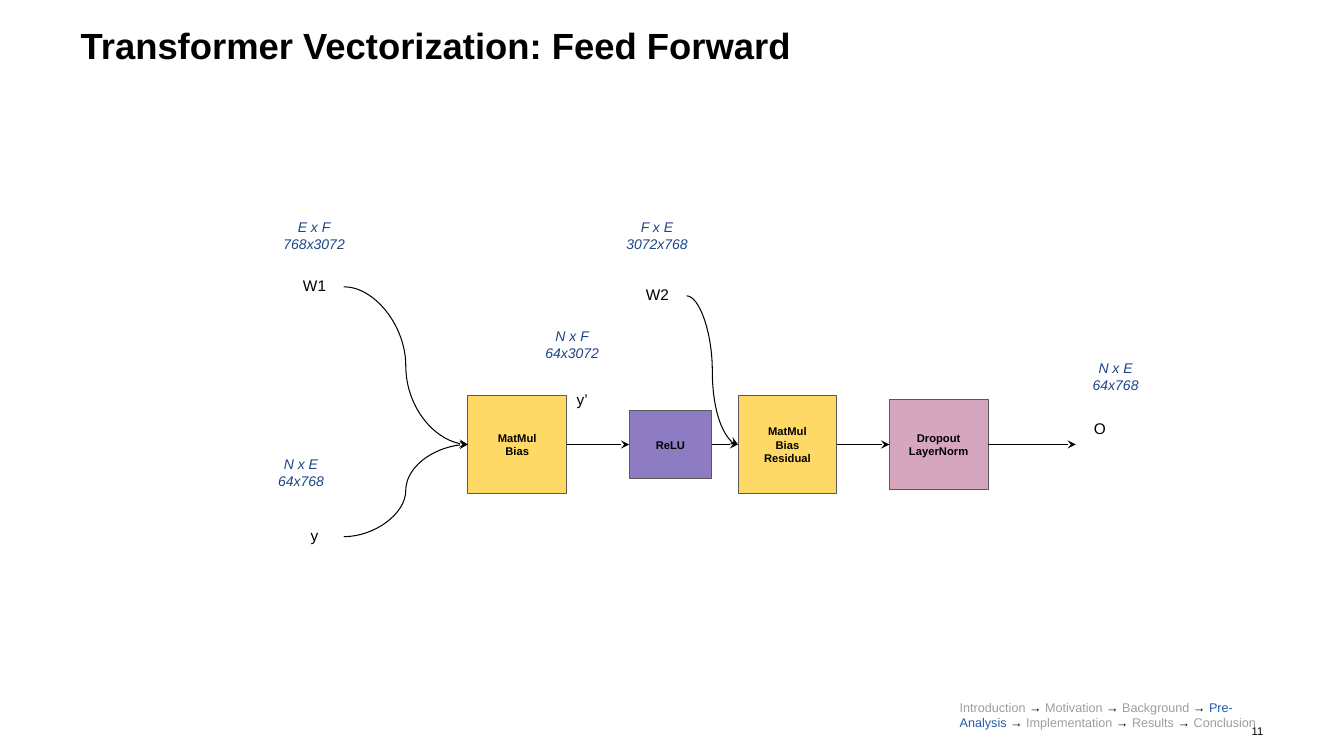
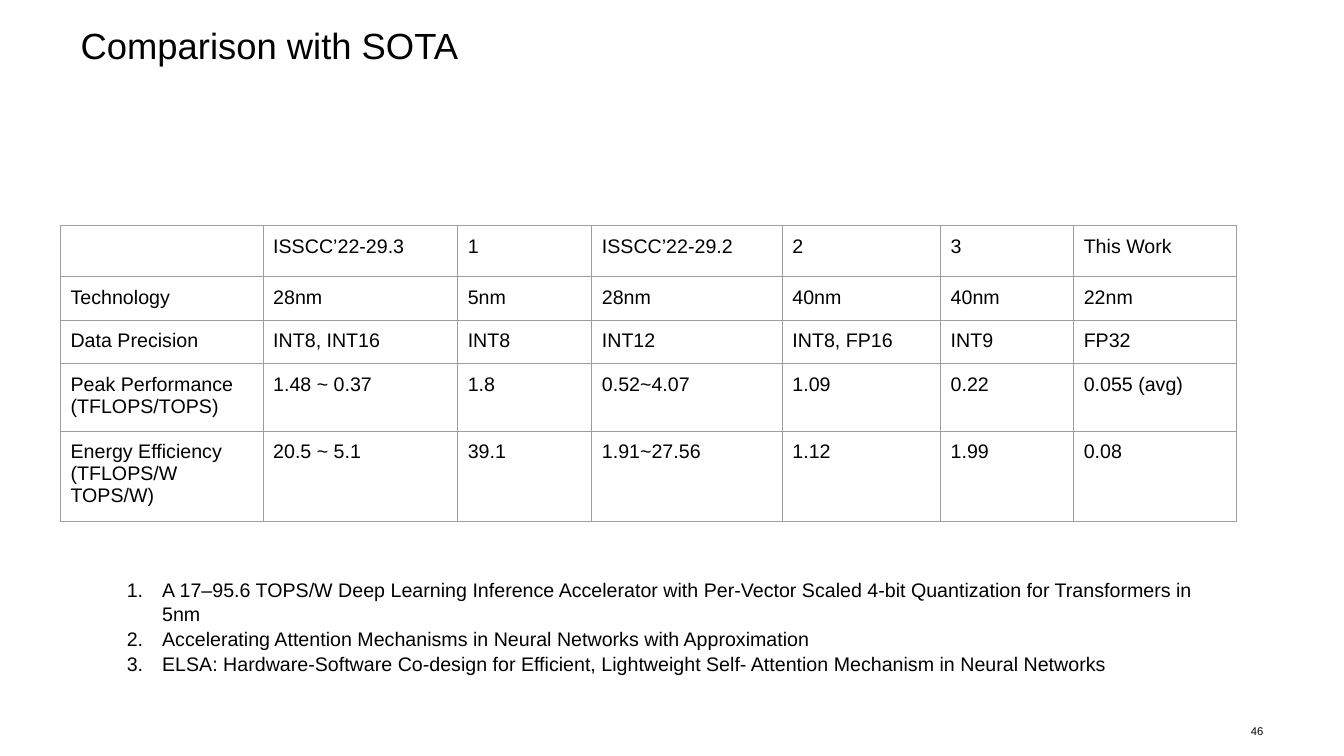
from dataclasses import dataclass

from lxml.etree import SubElement
from pptx import Presentation
from pptx.dml.color import RGBColor
from pptx.enum.shapes import MSO_CONNECTOR, MSO_SHAPE
from pptx.enum.text import MSO_ANCHOR, PP_ALIGN
from pptx.oxml.ns import qn
from pptx.util import Pt

EMU_PER_PX = 9144
LEFT_SITE, RIGHT_SITE = 1, 3


@dataclass(frozen=True)
class Theme:
    font: str = "Arial"
    black: str = "000000"
    gray: str = "9E9E9E"
    outline: str = "595959"
    dimension: str = "1C4587"
    active: str = "215CAF"
    yellow: str = "FFD966"
    purple: str = "8E7CC3"
    pink: str = "D5A6BD"
    title_size: int = 26
    body_size: int = 14
    node_size: int = 11
    dimension_size: int = 10
    trail_size: int = 9
    small_size: int = 8
    line_width: float = 0.75
    inset: int = 10


THEME = Theme()

STEPS = ["Introduction", "Motivation", "Background", "Pre-Analysis",
         "Implementation", "Results", "Conclusion"]

COLUMN_WIDTHS = [201, 193, 133, 189, 157, 132, 161]
ROW_HEIGHTS = [48, 42, 42, 64, 86]
COMPARISON = [
    ["", "ISSCC’22-29.3", "1", "ISSCC’22-29.2", "2", "3", "This Work"],
    ["Technology", "28nm", "5nm", "28nm", "40nm", "40nm", "22nm"],
    ["Data Precision", "INT8, INT16", "INT8", "INT12", "INT8, FP16", "INT9", "FP32"],
    ["Peak Performance (TFLOPS/TOPS)", "1.48 ~ 0.37", "1.8", "0.52~4.07", "1.09",
     "0.22", "0.055 (avg)"],
    ["Energy Efficiency\n(TFLOPS/W TOPS/W)", "20.5 ~ 5.1", "39.1", "1.91~27.56",
     "1.12", "1.99", "0.08"],
]
REFERENCES = [
    "A 17–95.6 TOPS/W Deep Learning Inference Accelerator with Per-Vector Scaled "
    "4-bit Quantization for Transformers in 5nm",
    "Accelerating Attention Mechanisms in Neural Networks with Approximation",
    "ELSA: Hardware-Software Co-design for Efficient, Lightweight Self- Attention "
    "Mechanism in Neural Networks",
]


def px(length):
    return length * EMU_PER_PX


def color(value):
    return RGBColor.from_string(value)


def style_run(run, size, fill=THEME.black, bold=False, italic=False):
    run.font.name = THEME.font
    run.font.size = Pt(size)
    run.font.color.rgb = color(fill)
    run.font.bold = bold
    run.font.italic = italic


def style_text(text_frame, size, align=PP_ALIGN.LEFT, **run_style):
    for paragraph in text_frame.paragraphs:
        paragraph.alignment = align
        for run in paragraph.runs:
            style_run(run, size, **run_style)


def set_insets(holder, inset):
    holder.margin_left = holder.margin_right = px(inset)
    holder.margin_top = holder.margin_bottom = px(inset)


def add_text(slide, box, text, size, align=PP_ALIGN.LEFT, inset=THEME.inset, **run_style):
    shape = slide.shapes.add_textbox(*map(px, box))
    text_frame = shape.text_frame
    text_frame.word_wrap = True
    set_insets(text_frame, inset)
    text_frame.text = text
    style_text(text_frame, size, align, **run_style)
    return shape


def add_slide(presentation, title, number, bold_title):
    slide = presentation.slides.add_slide(presentation.slide_layouts[6])
    heading = add_text(slide, (80, 28, 1173, 98), title, THEME.title_size,
                       inset=0, bold=bold_title)
    heading.text_frame.paragraphs[0].line_spacing = 0.9
    page = add_text(slide, (1218, 713, 35, 24), str(number), THEME.small_size,
                    PP_ALIGN.RIGHT, inset=0)
    page.text_frame.vertical_anchor = MSO_ANCHOR.MIDDLE
    return slide


def add_block(slide, box, text, fill):
    shape = slide.shapes.add_shape(MSO_SHAPE.RECTANGLE, *map(px, box))
    shape.shadow.inherit = False
    shape.fill.solid()
    shape.fill.fore_color.rgb = color(fill)
    shape.line.color.rgb = color(THEME.outline)
    shape.line.width = Pt(THEME.line_width)
    text_frame = shape.text_frame
    text_frame.word_wrap = True
    text_frame.vertical_anchor = MSO_ANCHOR.MIDDLE
    set_insets(text_frame, THEME.inset)
    text_frame.text = text
    style_text(text_frame, THEME.small_size, PP_ALIGN.CENTER, bold=True)
    return shape


def add_node(slide, left, top, text, align=PP_ALIGN.CENTER):
    return add_text(slide, (left, top, 58, 39), text, THEME.node_size, align)


def add_dimension(slide, left, top, width, text):
    add_text(slide, (left, top, width, 54), text, THEME.dimension_size,
             PP_ALIGN.CENTER, fill=THEME.dimension, italic=True)


def add_arrow(slide, source, target=None, end=(0, 0)):
    arrow = slide.shapes.add_connector(MSO_CONNECTOR.CURVE, 0, 0, *map(px, end))
    arrow.begin_connect(source, RIGHT_SITE)
    if target is not None:
        arrow.end_connect(target, LEFT_SITE)
    arrow.line.color.rgb = color(THEME.black)
    arrow.line.width = Pt(THEME.line_width)
    properties = arrow._element.spPr
    SubElement(properties.find(qn("a:ln")), qn("a:tailEnd"), type="stealth")
    SubElement(properties, qn("a:effectLst"))


def add_trail(slide, current):
    shape = add_text(slide, (942, 684, 322, 66), "", THEME.trail_size)
    paragraph = shape.text_frame.paragraphs[0]
    for index, step in enumerate(STEPS):
        if index:
            arrow = paragraph.add_run()
            arrow.text = " → "
            style_run(arrow, THEME.trail_size)
        run = paragraph.add_run()
        run.text = step
        style_run(run, THEME.trail_size, THEME.active if step == current else THEME.gray)


def add_cell_borders(cell):
    properties = cell._tc.get_or_add_tcPr()
    for side in ("lnL", "lnR", "lnT", "lnB"):
        line = SubElement(properties, qn(f"a:{side}"), w=str(Pt(THEME.line_width)))
        fill = SubElement(line, qn("a:solidFill"))
        SubElement(fill, qn("a:srgbClr"), val=THEME.gray)


def add_comparison_table(slide, left, top):
    frame = slide.shapes.add_table(
        len(ROW_HEIGHTS), len(COLUMN_WIDTHS), px(left), px(top),
        px(sum(COLUMN_WIDTHS)), px(sum(ROW_HEIGHTS)))
    table = frame.table
    table.first_row = False
    table.horz_banding = False
    for column, width in zip(table.columns, COLUMN_WIDTHS):
        column.width = px(width)
    for row, height, texts in zip(table.rows, ROW_HEIGHTS, COMPARISON):
        row.height = px(height)
        for cell, text in zip(row.cells, texts):
            add_cell_borders(cell)
            cell.fill.background()
            set_insets(cell, THEME.inset)
            cell.text_frame.text = text
            style_text(cell.text_frame, THEME.body_size)


def add_numbered_list(slide, box, items):
    shape = add_text(slide, box, "\n".join(items), THEME.body_size)
    for paragraph in shape.text_frame.paragraphs:
        paragraph.line_spacing = 1.05
        properties = paragraph._p.get_or_add_pPr()
        properties.set("marL", str(px(50)))
        properties.set("indent", str(px(-35)))
        bullet_color = SubElement(properties, qn("a:buClr"))
        SubElement(bullet_color, qn("a:srgbClr"), val=THEME.black)
        SubElement(properties, qn("a:buAutoNum"), type="arabicPeriod")


def build_feed_forward(presentation):
    slide = add_slide(presentation, "Transformer Vectorization: Feed Forward", 11, True)

    first_matmul = add_block(slide, (464, 392, 98, 98), "MatMul\nBias", THEME.yellow)
    relu = add_block(slide, (624, 407, 82, 68), "ReLU", THEME.purple)
    second_matmul = add_block(slide, (732, 392, 98, 98), "MatMul\nBias\nResidual",
                              THEME.yellow)
    dropout = add_block(slide, (882, 396, 98, 90), "Dropout\nLayerNorm", THEME.pink)

    first_weight = add_node(slide, 283, 265, "W1")
    second_weight = add_node(slide, 623, 274, "W2")
    input_node = add_node(slide, 283, 513, "y")
    add_node(slide, 562, 378, "y’", PP_ALIGN.LEFT)
    add_node(slide, 1075, 407, "O", PP_ALIGN.LEFT)

    for left, top, width, text in [
        (179, 207, 265, "E x F\n768x3072"),
        (519, 207, 265, "F x E\n3072x768"),
        (166, 442, 265, "N x E\n64x768"),
        (456, 315, 223, "N x F\n64x3072"),
        (995, 347, 223, "N x E\n64x768"),
    ]:
        add_dimension(slide, left, top, width, text)

    for source, target in [
        (first_weight, first_matmul),
        (input_node, first_matmul),
        (first_matmul, relu),
        (relu, second_matmul),
        (second_weight, second_matmul),
        (second_matmul, dropout),
    ]:
        add_arrow(slide, source, target)
    add_arrow(slide, dropout, end=(1067, 441))

    add_trail(slide, "Pre-Analysis")


def build_comparison(presentation):
    slide = add_slide(presentation, "Comparison with SOTA", 46, False)
    add_comparison_table(slide, 60, 224)
    add_numbered_list(slide, (101, 562, 1103, 114), REFERENCES)


def main():
    presentation = Presentation()
    presentation.slide_width = px(1333)
    presentation.slide_height = px(750)
    build_feed_forward(presentation)
    build_comparison(presentation)
    presentation.save("out.pptx")


if __name__ == "__main__":
    main()
